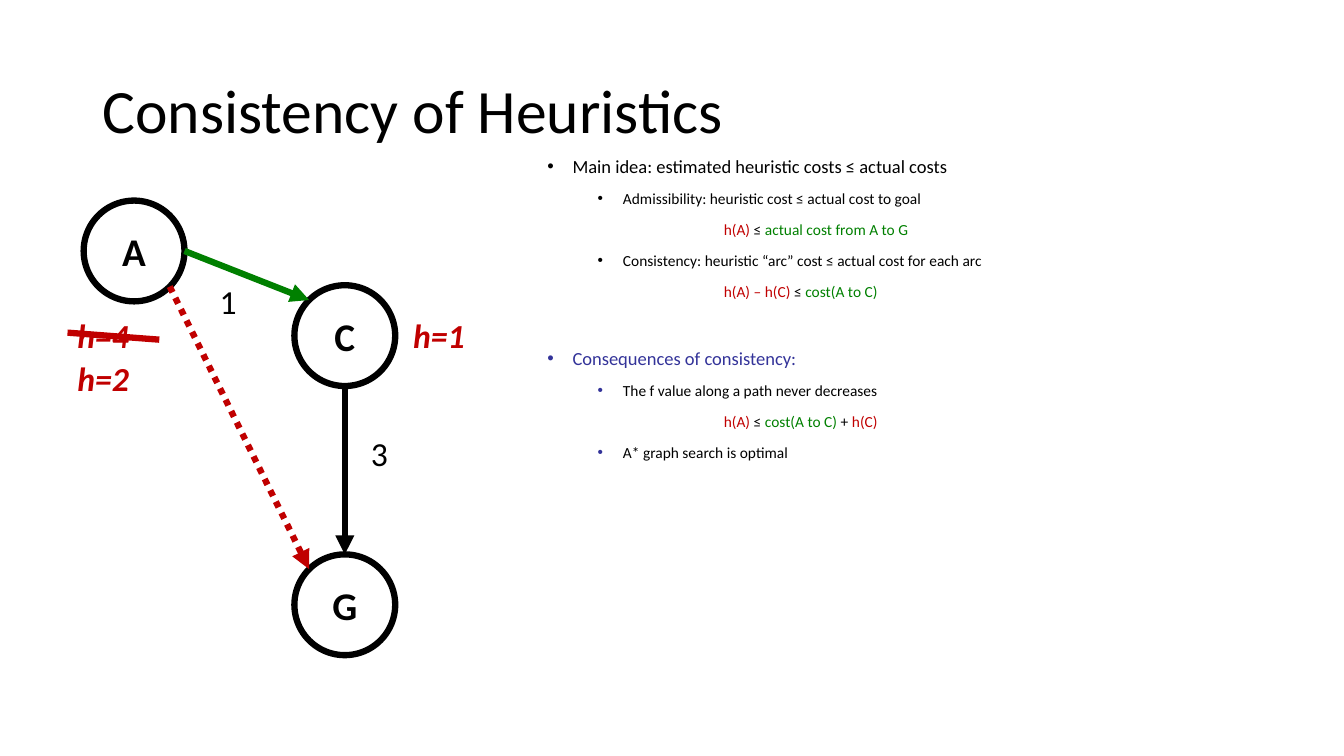
import math

import pptx
import pptx.dml.color
import pptx.enum.dml
import pptx.enum.shapes
import pptx.enum.text
import pptx.oxml
import pptx.oxml.ns
import pptx.util

Inches, Pt = pptx.util.Inches, pptx.util.Pt

COLORS = {"black": "000000", "white": "FFFFFF", "red": "C00000",
          "green": "008000", "blue": "333399"}
FONT = "Calibri"
TITLE = "Consistency of Heuristics"

LEVELS = {
    "head": {"level": 0, "margin": 0.25, "hang": -0.25, "size": 13.2, "before": 28},
    "point": {"level": 1, "margin": 0.75, "hang": -0.25, "size": 11, "before": 5},
    "formula": {"level": 1, "margin": 1.75, "hang": 0, "size": 11, "before": 5},
}
BODY = [
    ("head", "black", [("Main idea: estimated heuristic costs ≤ actual costs", "black")]),
    ("point", "black", [("Admissibility: heuristic cost ≤ actual cost to goal", "black")]),
    ("formula", None, [("h(A) ", "red"), ("≤ ", "black"), ("actual cost from A to G", "green")]),
    ("point", "black", [("Consistency: heuristic “arc” cost ≤ actual cost for each arc", "black")]),
    ("formula", None, [("h(A) – h(C) ", "red"), ("≤ ", "black"), ("cost(A to C)", "green")]),
    ("head", "blue", [("Consequences of consistency:", "blue")]),
    ("point", "blue", [("The f value along a path never decreases", "black")]),
    ("formula", None, [("h(A) ", "red"), ("≤ ", "black"), ("cost(A to C) ", "green"),
                       ("+ ", "black"), ("h(C)", "red")]),
    ("point", "blue", [("A* graph search is optimal", "black")]),
]

RADIUS = 0.5
NODES = {"A": (1.33, 2.49), "C": (3.42, 3.33), "G": (3.42, 6)}
EDGES = [("C", 90, "G", 270, "black", False),
         ("A", 45, "G", 225, "red", True),
         ("A", 0, "C", 225, "green", False)]
COSTS = [("3", 3.58, 4.25), ("1", 2.08, 2.74)]
ESTIMATES = [("h=4", 0.67, 3.08), ("h=1", 4, 3.08), ("h=2", 0.67, 3.5)]
STRIKE = ((0.67, 3.3), (1.58, 3.37))


def rgb(name):
    """Return the named colour."""
    return pptx.dml.color.RGBColor.from_string(COLORS[name])


def set_font(font, size, color, bold=False, italic=False):
    """Set the typeface, size, colour and style of a font."""
    font.name, font.size = FONT, Pt(size)
    font.bold, font.italic = bold, italic
    font.color.rgb = rgb(color)


def add_text(s, text, box, size, color="black", wrap=True, **style):
    """Add a text box with one paragraph and return its frame."""
    tf = s.shapes.add_textbox(*map(Inches, box)).text_frame
    tf.word_wrap = wrap
    p = tf.paragraphs[0]
    p.text = text
    set_font(p.font, size, color, **style)
    return tf


def add_child(parent, tag, **attributes):
    """Append a drawing element with the given attributes."""
    child = pptx.oxml.parse_xml(f"<a:{tag} {pptx.oxml.ns.nsdecls('a')}/>")
    for name, value in attributes.items():
        child.set(name, str(value))
    parent.append(child)
    return child


def add_body(s):
    """Add the bulleted list with its indented formulas."""
    tf = s.shapes.add_textbox(*map(Inches, (5.33, 1.42, 7.58, 3.33))).text_frame
    tf.word_wrap = True
    for i, (kind, bullet, runs) in enumerate(BODY):
        look = LEVELS[kind]
        p = tf.paragraphs[0] if i == 0 else tf.add_paragraph()
        p.level, p.line_spacing = look["level"], 1.3
        p.space_before = Pt(look["before"] if i else 0)
        pPr = p._p.get_or_add_pPr()
        pPr.set("marL", str(Inches(look["margin"])))
        pPr.set("indent", str(Inches(look["hang"])))
        if bullet:
            add_child(add_child(pPr, "buClr"), "srgbClr", val=COLORS[bullet])
            add_child(pPr, "buFont", typeface="Arial")
            add_child(pPr, "buChar", char="•")
        else:
            add_child(pPr, "buNone")
        p.font.name, p.font.size = FONT, Pt(look["size"])
        for text, color in runs:
            r = p.add_run()
            r.text = text
            r.font.color.rgb = rgb(color)


def add_node(s, name, center):
    """Add a lettered circle around a centre."""
    x, y = center
    sp = s.shapes.add_shape(pptx.enum.shapes.MSO_SHAPE.OVAL, Inches(x - RADIUS),
                            Inches(y - RADIUS), Inches(2 * RADIUS), Inches(2 * RADIUS))
    sp.shadow.inherit = False
    sp.fill.solid()
    sp.fill.fore_color.rgb = rgb("white")
    sp.line.color.rgb = rgb("black")
    sp.line.width = Pt(4.5)
    tf = sp.text_frame
    tf.vertical_anchor = pptx.enum.text.MSO_ANCHOR.MIDDLE
    p = tf.paragraphs[0]
    p.text = name
    p.alignment = pptx.enum.text.PP_ALIGN.CENTER
    set_font(p.font, 28, "black", bold=True)


def rim(name, degrees):
    """Return the point on a node's rim, clockwise from the right."""
    x, y = NODES[name]
    angle = math.radians(degrees)
    return x + RADIUS * math.cos(angle), y + RADIUS * math.sin(angle)


def add_line(s, start, end, color, dotted=False, arrow=True):
    """Add a thick straight line, optionally dotted or with an arrowhead."""
    line = s.shapes.add_connector(pptx.enum.shapes.MSO_CONNECTOR.STRAIGHT,
                                  *map(Inches, start + end))
    line.line.color.rgb = rgb(color)
    line.line.width = Pt(4.5)
    if dotted:
        line.line.dash_style = pptx.enum.dml.MSO_LINE.ROUND_DOT
        line.line._ln.find(pptx.oxml.ns.qn("a:prstDash")).set("val", "sysDot")
    if arrow:
        add_child(line.line._ln, "tailEnd", type="triangle")
    add_child(line._element.spPr, "effectLst")


def main():
    """Build the slide on heuristic consistency."""
    prs = pptx.Presentation()
    prs.slide_width, prs.slide_height = Inches(13.33), Inches(7.5)
    s = prs.slides.add_slide(prs.slide_layouts[6])
    tf = add_text(s, TITLE, (0.92, 0.4, 11.5, 1.45), 44)
    tf.vertical_anchor = pptx.enum.text.MSO_ANCHOR.MIDDLE
    tf.paragraphs[0].line_spacing = 0.9
    add_body(s)
    for name, center in NODES.items():
        add_node(s, name, center)
    for text, x, y in COSTS:
        add_text(s, text, (x, y, 0.37, 0.5), 24, wrap=False)
    for text, x, y in ESTIMATES:
        add_text(s, text, (x, y, 0.8, 0.5), 24, "red", wrap=False, bold=True, italic=True)
    for tail, leave, head, arrive, color, dotted in EDGES:
        add_line(s, rim(tail, leave), rim(head, arrive), color, dotted)
    add_line(s, *STRIKE, "red", arrow=False)
    prs.save("out.pptx")


if __name__ == "__main__":
    main()
